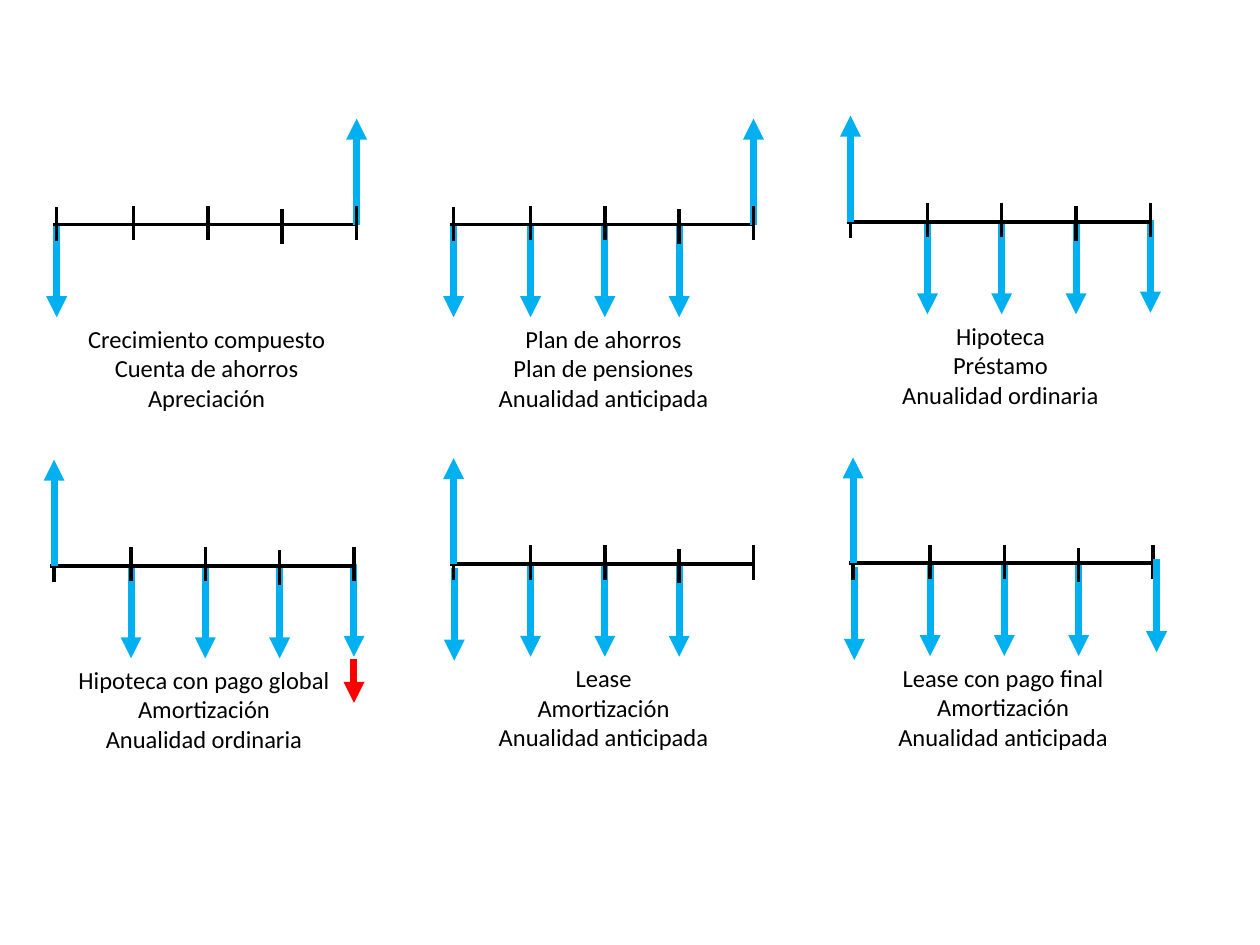
from collections import namedtuple
from lxml.etree import SubElement
from pptx import Presentation
from pptx.dml.color import RGBColor
from pptx.enum.shapes import MSO_CONNECTOR as Connector
from pptx.enum.text import MSO_AUTO_SIZE as AutoSize, PP_ALIGN as Align
from pptx.oxml.ns import qn
from pptx.util import Pt

Theme = namedtuple("Theme", "flow balloon ink font text_size flow_width axis_width tick_width")
theme = Theme(
    flow=RGBColor(0x00, 0xB0, 0xF0),
    balloon=RGBColor(0xFF, 0x00, 0x00),
    ink=RGBColor(0x00, 0x00, 0x00),
    font="Calibri",
    text_size=14,
    flow_width=4,
    axis_width=2.25,
    tick_width=2,
)

Diagram = namedtuple("Diagram", "left axis receipt payments labels")
diagrams = [
    Diagram(32.4, 128.3, 4, {0: (0, 0)},
            ["Crecimiento compuesto", "Cuenta de ahorros", "Apreciación"]),
    Diagram(259.2, 128.3, 4, {0: (0, 0), 1: (0, 0), 2: (0, 0), 3: (0, 0)},
            ["Plan de ahorros", "Plan de pensiones", "Anualidad anticipada"]),
    Diagram(486, 126.6, 0, {1: (0, 0), 2: (0, 0), 3: (0, 0), 4: (0, -0.9)},
            ["Hipoteca", "Préstamo", "Anualidad ordinaria"]),
    Diagram(30.9, 323.2, 0, {1: (0, 0), 2: (0, 0), 3: (0, 0), 4: (0, -0.9)},
            ["Hipoteca con pago global", "Amortización", "Anualidad ordinaria"]),
    Diagram(259.2, 322.3, 0, {0: (0.4, 2.2), 1: (0, 0), 2: (0, 0), 3: (0, 0)},
            ["Lease", "Amortización", "Anualidad anticipada"]),
    Diagram(487.5, 321.9, 0, {0: (0.7, 2.2), 1: (0, 0), 2: (0, 0), 3: (0, 0)},
            ["Lease con pago final", "Amortización", "Anualidad anticipada"]),
]

period_offsets = [0, 44, 86.4, 128.9, 171.4]
tick_shifts = [0, -0.4, -0.4, 1.5, -0.4]
timeline_width = period_offsets[-1]
payment_length = 53
receipt_length = 60.5
label_height = 58.3

presentation = Presentation()
presentation.slide_width = Pt(720)
presentation.slide_height = Pt(540)
slide = presentation.slides.add_slide(presentation.slide_layouts[6])


def draw_line(start, end, color, width, arrow=False):
    connector = slide.shapes.add_connector(
        Connector.STRAIGHT, Pt(start[0]), Pt(start[1]), Pt(end[0]), Pt(end[1]))
    connector.line.color.rgb = color
    connector.line.width = Pt(width)
    if arrow:
        SubElement(connector.line._get_or_add_ln(), qn("a:tailEnd"), type="triangle")
    SubElement(connector._element.spPr, qn("a:effectLst"))


def draw_flow(x, y, length, color=theme.flow):
    draw_line((x, y), (x, y + length), color, theme.flow_width, arrow=True)


for diagram in diagrams:
    left, axis = diagram.left, diagram.axis
    for period, (shift_x, shift_y) in diagram.payments.items():
        draw_flow(left + period_offsets[period] + shift_x, axis + shift_y, payment_length)

    draw_line((left - 2.2, axis), (left + timeline_width, axis), theme.ink, theme.axis_width)

    for period, (offset, shift) in enumerate(zip(period_offsets, tick_shifts)):
        if period == 3:
            draw_flow(left + period_offsets[diagram.receipt], axis, -receipt_length)
        x = left + offset
        draw_line((x, axis + 9.4 + shift), (x, axis - 10.2 + shift), theme.ink, theme.tick_width)

    label_box = slide.shapes.add_textbox(
        Pt(left), Pt(axis + 53.3), Pt(timeline_width), Pt(label_height))
    text_frame = label_box.text_frame
    text_frame.word_wrap = True
    text_frame.auto_size = AutoSize.SHAPE_TO_FIT_TEXT
    text_frame.text = "\n".join(diagram.labels)
    for paragraph in text_frame.paragraphs:
        paragraph.alignment = Align.CENTER
        for run in paragraph.runs:
            run.font.name = theme.font
            run.font.size = Pt(theme.text_size)
            run.font.color.rgb = theme.ink

mortgage_with_balloon, lease_with_final_payment = diagrams[3], diagrams[5]
draw_flow(mortgage_with_balloon.left + timeline_width, mortgage_with_balloon.axis + 53.3,
          25.2, theme.balloon)
draw_flow(lease_with_final_payment.left + timeline_width + 2, lease_with_final_payment.axis - 2.2,
          payment_length)

presentation.save("out.pptx")
